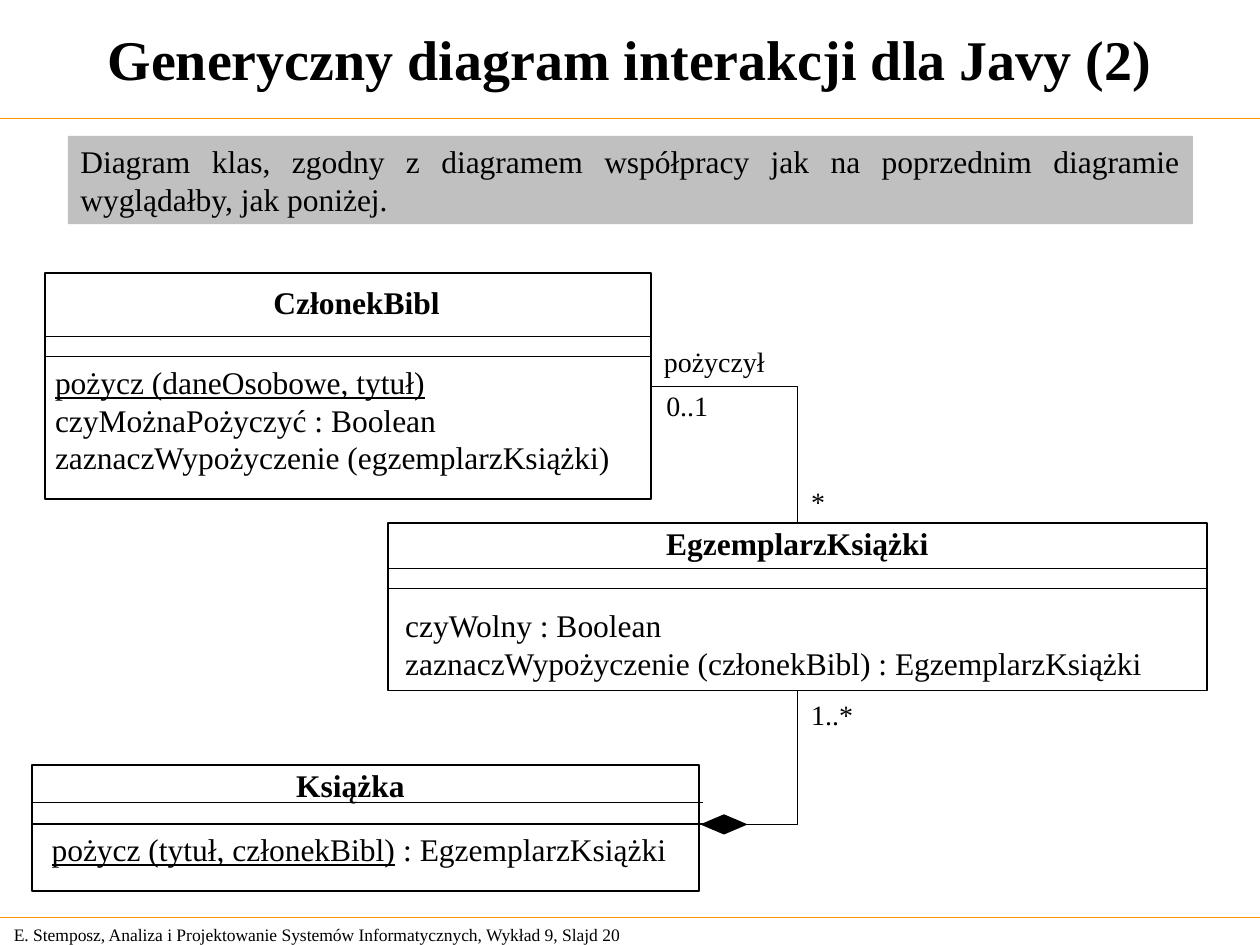
"""Build a slide with a class diagram of a library lending system."""
from lxml.etree import SubElement
from pptx import Presentation
from pptx.dml.color import RGBColor
from pptx.enum.shapes import MSO_CONNECTOR, MSO_SHAPE
from pptx.enum.text import MSO_ANCHOR, PP_ALIGN
from pptx.oxml.ns import qn
from pptx.util import Cm, Pt

BLACK = RGBColor(0, 0, 0)
GRAY = RGBColor(0xC0, 0xC0, 0xC0)
ORANGE = RGBColor(0xFF, 0x99, 0x00)
FONT = "Times New Roman"
WIDE, HIGH = 25.4, 19.05

TITLE = "Generyczny diagram interakcji dla Javy (2)"
NOTE = ("Diagram klas, zgodny z diagramem współpracy jak na poprzednim "
        "diagramie wyglądałby, jak poniżej.")
FOOTER = ("E. Stemposz, Analiza i Projektowanie Systemów Informatycznych, "
          "Wykład 9, Slajd 20")

CLASSES = [
    dict(name="CzłonekBibl", box=(0.91, 5.51, 12.22, 4.55),
         head=(5.26, 5.59, 3.86, 1.02), rules=(6.78, 7.19), end=13.13,
         body=(0.86, 7.19, 11.73, 2.54),
         calls=[("pożycz (daneOsobowe, tytuł)", ""),
                ("", "czyMożnaPożyczyć : Boolean"),
                ("", "zaznaczWypożyczenie (egzemplarzKsiążki)")]),
    dict(name="EgzemplarzKsiążki", box=(7.82, 10.54, 16.51, 3.38),
         head=(13.18, 10.44, 5.79, 1.02), rules=(11.46, 11.86), end=24.33,
         body=(7.92, 12.09, 15.93, 1.78),
         calls=[("", "czyWolny : Boolean"),
                ("", "zaznaczWypożyczenie (członekBibl) : EgzemplarzKsiążki")]),
    dict(name="Książka", box=(0.64, 15.42, 13.46, 2.54),
         head=(5.72, 15.32, 2.69, 1.02), rules=(16.18, 16.61), end=14.17,
         body=(0.79, 16.61, 12.9, 1.02),
         calls=[("pożycz (tytuł, członekBibl)", " : EgzemplarzKsiążki")]),
]
LABELS = [("pożyczył", 13.13, 6.83, 2.54), ("0..1", 13.18, 7.7, 1.35),
          ("*", 16.1, 9.65, 0.79), ("1..*", 16.1, 13.94, 1.35)]


def style(para, size, bold=False, align=PP_ALIGN.LEFT):
    para.alignment = align
    font = para.font
    font.name, font.size, font.bold = FONT, Pt(size), bold
    font.color.rgb = BLACK


def write(slide, text, place, size, bold=False, align=PP_ALIGN.CENTER,
          wrap=False, anchor=MSO_ANCHOR.TOP):
    frame = slide.shapes.add_textbox(*map(Cm, place)).text_frame
    frame.word_wrap, frame.vertical_anchor = wrap, anchor
    para = frame.paragraphs[0]
    para.text = text
    style(para, size, bold, align)


def block(slide, kind, place, fill=None, line=None, width=1):
    shape = slide.shapes.add_shape(kind, *map(Cm, place))
    shape.shadow.inherit = False
    if fill is None:
        shape.fill.background()
    else:
        shape.fill.solid()
        shape.fill.fore_color.rgb = fill
    if line is None:
        shape.line.fill.background()
    else:
        shape.line.color.rgb = line
        shape.line.width = Pt(width)
    return shape


def link(slide, ends, color=BLACK, kind=MSO_CONNECTOR.STRAIGHT):
    line = slide.shapes.add_connector(kind, *map(Cm, ends))
    line.line.color.rgb = color
    line.line.width = Pt(0.75)
    SubElement(line._element.spPr, qn("a:effectLst"))
    return line


def bend(slide, start, side, stop, edge):
    line = link(slide, (0, 0, 1, 1), kind=MSO_CONNECTOR.ELBOW)
    line._element.spPr.find(qn("a:prstGeom")).set("prst", "bentConnector2")
    line.begin_connect(start, side)
    line.end_connect(stop, edge)


def draw_class(slide, item):
    box = block(slide, MSO_SHAPE.RECTANGLE, item["box"], line=BLACK)
    for y in item["rules"]:
        link(slide, (item["box"][0], y, item["end"], y))
    write(slide, item["name"], item["head"], 18, bold=True)
    frame = slide.shapes.add_textbox(*map(Cm, item["body"])).text_frame
    frame.word_wrap = False
    for i, (under, plain) in enumerate(item["calls"]):
        para = frame.add_paragraph() if i else frame.paragraphs[0]
        for text, mark in ((under, True), (plain, False)):
            if text:
                run = para.add_run()
                run.text = text
                run.font.underline = mark
        style(para, 18)
    return box


def main():
    deck = Presentation()
    deck.slide_width, deck.slide_height = Cm(WIDE), Cm(HIGH)
    slide = deck.slides.add_slide(deck.slide_layouts[6])

    write(slide, FOOTER, (0.03, 18.49, 13.31, 0.69), 10, align=PP_ALIGN.LEFT,
          anchor=MSO_ANCHOR.MIDDLE)
    for y in (2.39, 18.49):
        link(slide, (0, y, WIDE, y), ORANGE)
    write(slide, TITLE, (0, 0, WIDE, 2.34), 32, bold=True, wrap=True,
          anchor=MSO_ANCHOR.MIDDLE)

    member, volume, book = [draw_class(slide, item) for item in CLASSES]
    for text, x, y, width in LABELS:
        write(slide, text, (x, y, width, 0.94), 16)
    gem = block(slide, MSO_SHAPE.DIAMOND, (14.15, 16.43, 0.89, 0.38),
                BLACK, BLACK, 0.75)
    bend(slide, member, 3, volume, 0)
    bend(slide, gem, 3, volume, 2)

    note = block(slide, MSO_SHAPE.RECTANGLE, (1.37, 2.74, 22.68, 1.78), GRAY)
    frame = note.text_frame
    frame.word_wrap, frame.vertical_anchor = True, MSO_ANCHOR.TOP
    para = frame.paragraphs[0]
    para.text = NOTE
    style(para, 18, align=PP_ALIGN.JUSTIFY)

    deck.save("out.pptx")


if __name__ == "__main__":
    main()
